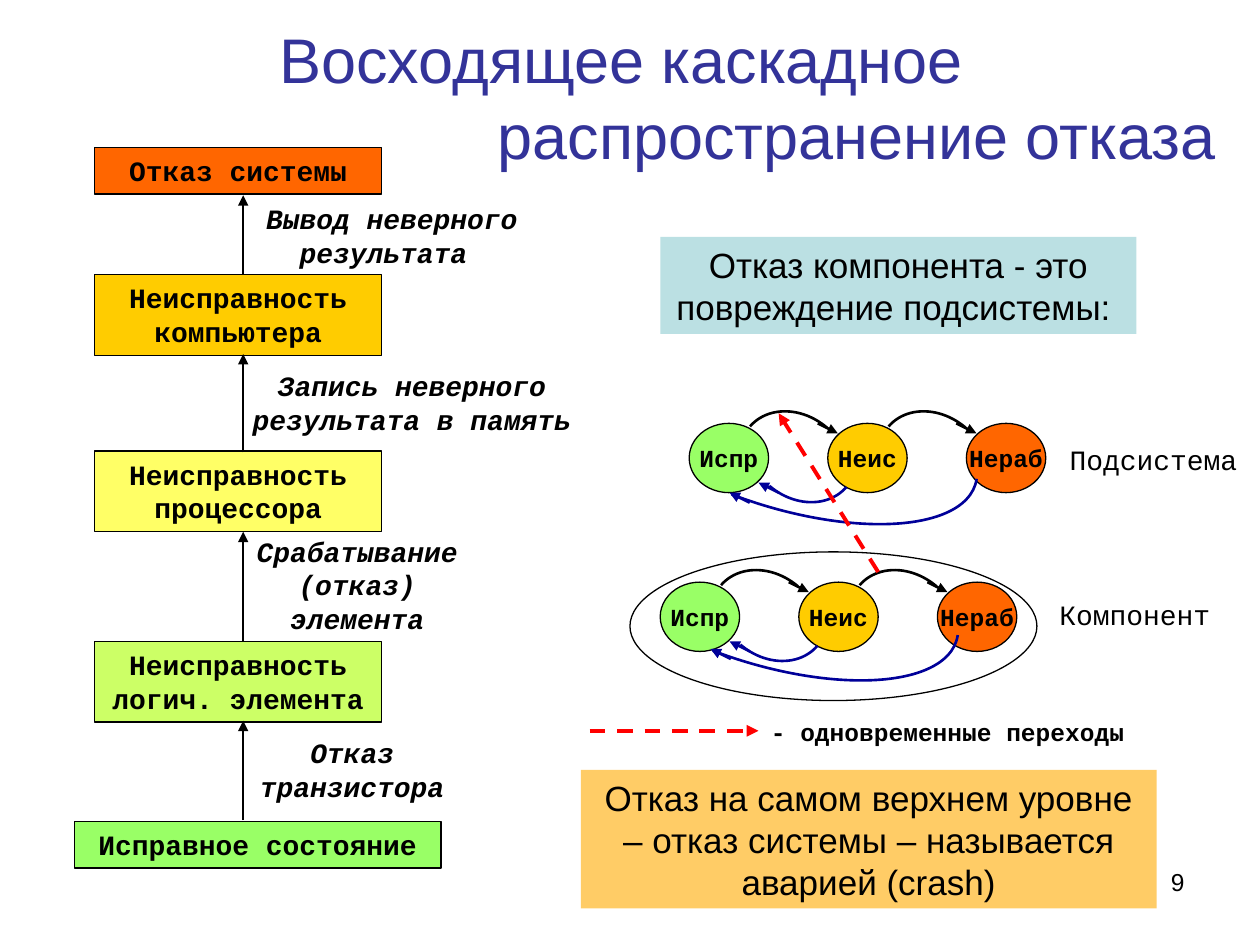
from dataclasses import dataclass

from lxml import etree
from pptx import Presentation
from pptx.dml.color import RGBColor
from pptx.enum.dml import MSO_LINE
from pptx.enum.shapes import MSO_CONNECTOR, MSO_SHAPE
from pptx.enum.text import MSO_ANCHOR, PP_ALIGN
from pptx.oxml.ns import qn
from pptx.util import Inches, Pt

RECT, OVAL, ARC = MSO_SHAPE.RECTANGLE, MSO_SHAPE.OVAL, MSO_SHAPE.ARC
LEFT, MID, RIGHT = PP_ALIGN.LEFT, PP_ALIGN.CENTER, PP_ALIGN.RIGHT
TOP, CORE = MSO_ANCHOR.TOP, MSO_ANCHOR.MIDDLE
STRAIGHT, DASH = MSO_CONNECTOR.STRAIGHT, MSO_LINE.DASH
SANS, MONO = "Arial", "Courier New"
BLACK, NAVY, RED, INDIGO = "000000", "000099", "FF0000", "333399"
GREEN, GOLD, ORANGE = "99FF66", "FFCC00", "FF6600"
STEP = 1.1


@dataclass
class Level:
    text: str
    x: float
    y: float
    w: float
    h: float
    fill: str


@dataclass
class Cause:
    text: str
    x: float
    y: float
    w: float
    h: float
    start: float
    end: float
    before: float = 0


@dataclass
class Chain:
    x: float
    y: float
    dx: float = 0
    dy: float = 0


@dataclass
class Bend:
    x: float
    y: float
    w: float
    h: float
    turn: float
    color: str
    start: float = 270
    end: float = 0


LEVELS = [
    Level("Отказ системы", 0.75, 1.17, 2.28, 0.37, ORANGE),
    Level("Неисправность компьютера", 0.75, 2.18, 2.28, 0.64, GOLD),
    Level("Неисправность процессора", 0.75, 3.58, 2.28, 0.64, "FFFF66"),
    Level("Неисправность логич. элемента", 0.75, 5.09, 2.28, 0.64, "CCFF66"),
    Level("Исправное состояние", 0.59, 6.52, 2.91, 0.37, GREEN),
]
CAUSES = [
    Cause("Вывод неверного результата ", 1.93, 1.55, 2.36, 0.64, 2.18, 1.55),
    Cause("Запись неверного результата в память",
          1.85, 2.88, 2.84, 0.64, 3.59, 2.81),
    Cause("Срабатывание (отказ) элемента",
          1.93, 4.19, 1.81, 0.9, 5.09, 4.22),
    Cause("Отказ транзистора", 1.85, 5.79, 1.89, 0.64, 6.51, 5.72, 10),
]
STATES = [("Испр", GREEN), ("Неис", GOLD), ("Нераб", ORANGE)]
CHAINS = [Chain(5.47, 3.36), Chain(5.24, 4.62, 0.08, -0.02)]
AHEAD = Bend(0.45, -0.14, 0.78, 0.94, 310.6, BLACK)
BACK = Bend(0.5, -0.27, 0.78, 0.94, 130.6, NAVY)
RESET = Bend(-0.9, -0.69, 3.25, 1.35, 198, NAVY, 178.3, 285.8)


def tint(code: str) -> RGBColor:
    return RGBColor.from_string(code)


def write(shape, text: str, *, size=16, font=MONO, color=BLACK, bold=False,
          slant=False, align=MID, anchor=TOP, before=0, wrap=True):
    frame = shape.text_frame
    frame.word_wrap = wrap
    frame.vertical_anchor = anchor
    frame.text = text
    for para in frame.paragraphs:
        para.alignment = align
        para.space_before = Pt(before)
        for run in para.runs:
            run.font.size, run.font.name = Pt(size), font
            run.font.bold, run.font.italic = bold, slant
            run.font.color.rgb = tint(color)


def label(slide, text: str, x: float, y: float, w: float, h: float, **style):
    box = slide.shapes.add_textbox(Inches(x), Inches(y), Inches(w), Inches(h))
    write(box, text, **style)


def block(slide, kind, x: float, y: float, w: float, h: float,
          fill=None, line=None, width=0.75):
    shape = slide.shapes.add_shape(
        kind, Inches(x), Inches(y), Inches(w), Inches(h))
    shape.shadow.inherit = False
    if fill:
        shape.fill.solid()
        shape.fill.fore_color.rgb = tint(fill)
    else:
        shape.fill.background()
    if line:
        shape.line.color.rgb = tint(line)
        shape.line.width = Pt(width)
    else:
        shape.line.fill.background()
    return shape


def arrow(slide, x1: float, y1: float, x2: float, y2: float,
          color=BLACK, width=1.5, dash=None):
    link = slide.shapes.add_connector(
        STRAIGHT, Inches(x1), Inches(y1), Inches(x2), Inches(y2))
    link.line.color.rgb = tint(color)
    link.line.width = Pt(width)
    if dash:
        link.line.dash_style = dash
    tip = etree.SubElement(link.line._get_or_add_ln(), qn("a:tailEnd"))
    tip.set("type", "triangle")
    etree.SubElement(link._element.spPr, qn("a:effectLst"))


def curve(slide, x: float, y: float, bend: Bend):
    arc = block(slide, ARC, x + bend.x, y + bend.y, bend.w, bend.h,
                line=bend.color, width=1.5)
    arc.rotation = bend.turn
    arc.adjustments[0] = bend.start * 0.6
    arc.adjustments[1] = bend.end * 0.6


def draw_chain(slide, chain: Chain):
    x, y = chain.x, chain.y
    for i, (name, fill) in enumerate(STATES):
        oval = block(slide, OVAL, x + i * STEP, y, 0.63, 0.55, fill, BLACK)
        write(oval, name, size=14, bold=True, anchor=CORE, wrap=False)
    for left in (x, x + STEP):
        curve(slide, left, y, AHEAD)
        arrow(slide, left + 1.02, y, left + 1.18, y + 0.08)
    curve(slide, x, y, BACK)
    arrow(slide, x + 0.71, y + 0.55, x + 0.55, y + 0.47, NAVY)
    x, y = x + chain.dx, y + chain.dy
    curve(slide, x, y, RESET)
    arrow(slide, x + 0.48, y + 0.63, x + 0.32, y + 0.55, NAVY)


def main():
    deck = Presentation()
    deck.slide_width, deck.slide_height = Inches(10), Inches(7.5)
    slide = deck.slides.add_slide(deck.slide_layouts[5])

    title = slide.shapes.title
    title.left, title.top = Inches(0), Inches(0.14)
    title.width, title.height = Inches(10), Inches(1.25)
    write(title, "Восходящее каскадное \nраспространение отказа",
          size=36, font=SANS, color=INDIGO, anchor=CORE)
    indent = title.text_frame.paragraphs[1]._p.get_or_add_pPr()
    indent.set("marL", str(Inches(3.6)))
    indent.set("indent", "0")

    for lv in LEVELS:
        box = block(slide, RECT, lv.x, lv.y, lv.w, lv.h, lv.fill, BLACK)
        write(box, lv.text, bold=True, before=10)
    for cs in CAUSES:
        label(slide, cs.text, cs.x, cs.y, cs.w, cs.h,
              bold=True, slant=True, before=cs.before)
        arrow(slide, 1.93, cs.start, 1.93, cs.end)

    crash = block(slide, RECT, 4.61, 6.11, 4.57, 1.1, "FFCC66")
    write(crash, "Отказ на самом верхнем уровне – отказ системы – "
          "называется аварией (crash)", size=20, font=SANS, before=12.5)
    fault = block(slide, RECT, 5.24, 1.88, 3.78, 0.77, "BBE0E3")
    write(fault, "Отказ компонента - это повреждение подсистемы: ",
          size=20, font=SANS, before=5)

    for chain in CHAINS:
        draw_chain(slide, chain)
    block(slide, OVAL, 5, 4.38, 3.23, 1.18, line=BLACK)
    arrow(slide, 6.97, 4.54, 6.18, 3.28, RED, 2.25, DASH)
    label(slide, "Компонент", 8.31, 4.69, 1.53, 0.37, align=LEFT, before=10)
    label(slide, "Подсистема", 8.39, 3.46, 1.69, 0.37, align=LEFT, before=10)
    arrow(slide, 4.68, 5.8, 6.02, 5.8, RED, 2.25, DASH)
    label(slide, "- одновременные переходы", 6.02, 5.64, 3.07, 0.34,
          size=14, bold=True, align=LEFT, before=8.8)
    label(slide, "9", 7.17, 6.83, 2.33, 0.52, size=14, font=SANS, align=RIGHT)
    deck.save("out.pptx")


if __name__ == "__main__":
    main()
